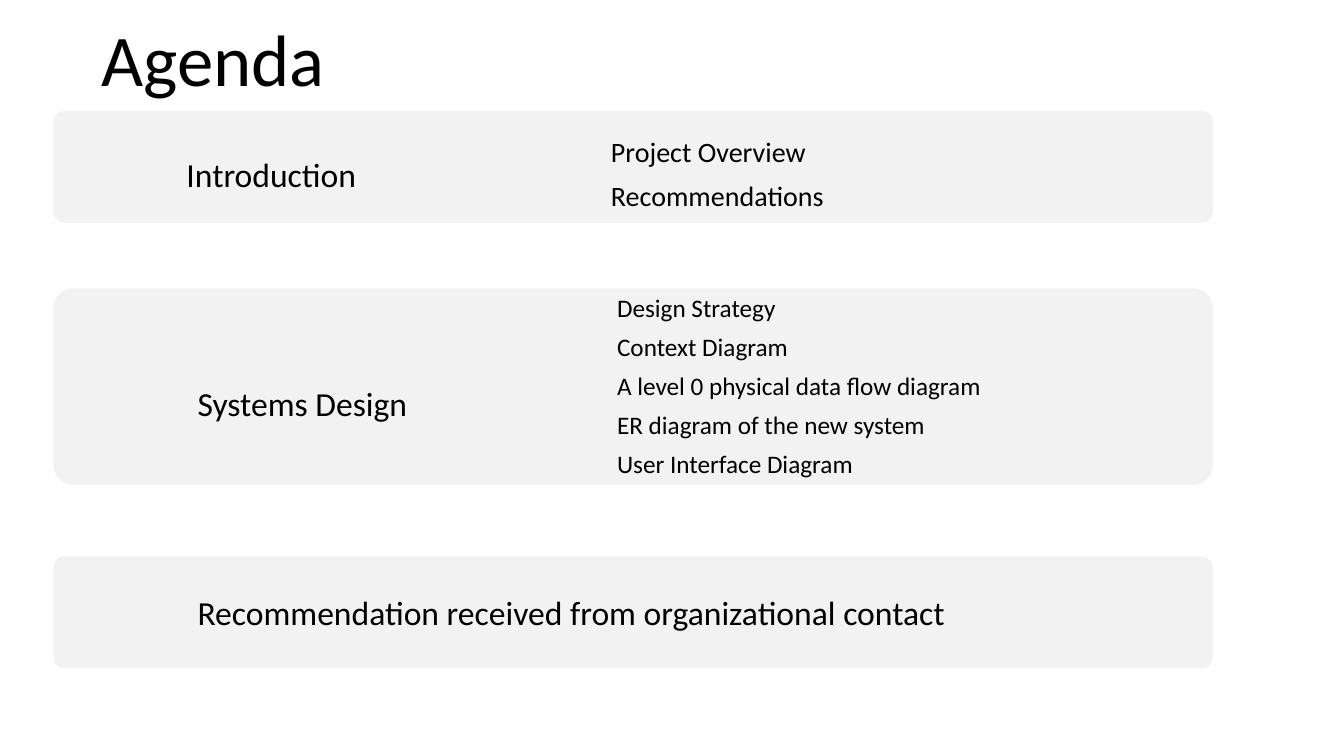
from dataclasses import dataclass

from pptx import Presentation
from pptx.dml.color import RGBColor
from pptx.enum.shapes import MSO_SHAPE
from pptx.enum.text import MSO_ANCHOR, PP_ALIGN
from pptx.util import Inches, Pt

ROUNDED = MSO_SHAPE.ROUNDED_RECTANGLE
MIDDLE = MSO_ANCHOR.MIDDLE
LEFT = PP_ALIGN.LEFT


@dataclass(frozen=True)
class Theme:
    """Colours, font and type sizes of the slide."""
    font: str = "Calibri"
    ink: RGBColor = RGBColor(0x00, 0x00, 0x00)
    band: RGBColor = RGBColor(0xF2, 0xF2, 0xF2)
    title: int = 52
    heading: int = 24
    topic: int = 20
    small_topic: int = 18


THEME = Theme()
BAND_LEFT, BAND_WIDTH = 0.53, 11.5


def add_text(s, text, box, size, inset=0.15, space=0, line_spacing=None):
    """Add a middle-anchored text box with one paragraph per line of text."""
    tf = s.shapes.add_textbox(*map(Inches, box)).text_frame
    tf.word_wrap = True
    tf.vertical_anchor = MIDDLE
    tf.margin_left = tf.margin_right = Inches(inset)
    tf.margin_top = tf.margin_bottom = Inches(min(inset, 0.15))
    for i, line in enumerate(text.split("\n")):
        p = tf.paragraphs[0] if i == 0 else tf.add_paragraph()
        p.alignment = LEFT
        p.line_spacing = line_spacing
        p.space_before = Pt(space if i else 0)
        r = p.add_run()
        r.text = line
        r.font.name = THEME.font
        r.font.size = Pt(size)
        r.font.color.rgb = THEME.ink


def add_band(s, top, height):
    """Add the rounded grey band behind one agenda section."""
    sp = s.shapes.add_shape(ROUNDED, Inches(BAND_LEFT), Inches(top),
                            Inches(BAND_WIDTH), Inches(height))
    sp.adjustments[0] = 0.1
    sp.shadow.inherit = False
    sp.fill.solid()
    sp.fill.fore_color.rgb = THEME.band
    sp.line.fill.background()


def main():
    """Build the agenda slide and save it."""
    prs = Presentation()
    prs.slide_width, prs.slide_height = Inches(13.33), Inches(7.5)
    s = prs.slides.add_slide(prs.slide_layouts[6])

    add_text(s, "Agenda", (0.91, 0, 11.5, 1.24), THEME.title, inset=0.1, line_spacing=0.9)

    add_band(s, 1.1, 1.11)
    add_text(s, "Introduction", (1.7, 1.03, 5.17, 1.39), THEME.heading)
    add_text(s, "Project Overview\nRecommendations", (5.91, 1.03, 4.89, 1.38),
             THEME.topic, space=7)

    add_band(s, 2.86, 1.95)
    add_text(s, "Systems Design", (1.81, 3.3, 5.17, 1.39), THEME.heading)
    add_text(s, "Design Strategy\nContext Diagram\nA level 0 physical data flow diagram\n"
             "ER diagram of the new system\nUser Interface Diagram",
             (5.97, 2.66, 6.75, 2.32), THEME.small_topic, space=6.3)

    add_band(s, 5.52, 1.11)
    add_text(s, "Recommendation received from organizational contact",
             (1.81, 5.36, 10.06, 1.42), THEME.heading)

    prs.save("out.pptx")


if __name__ == "__main__":
    main()
